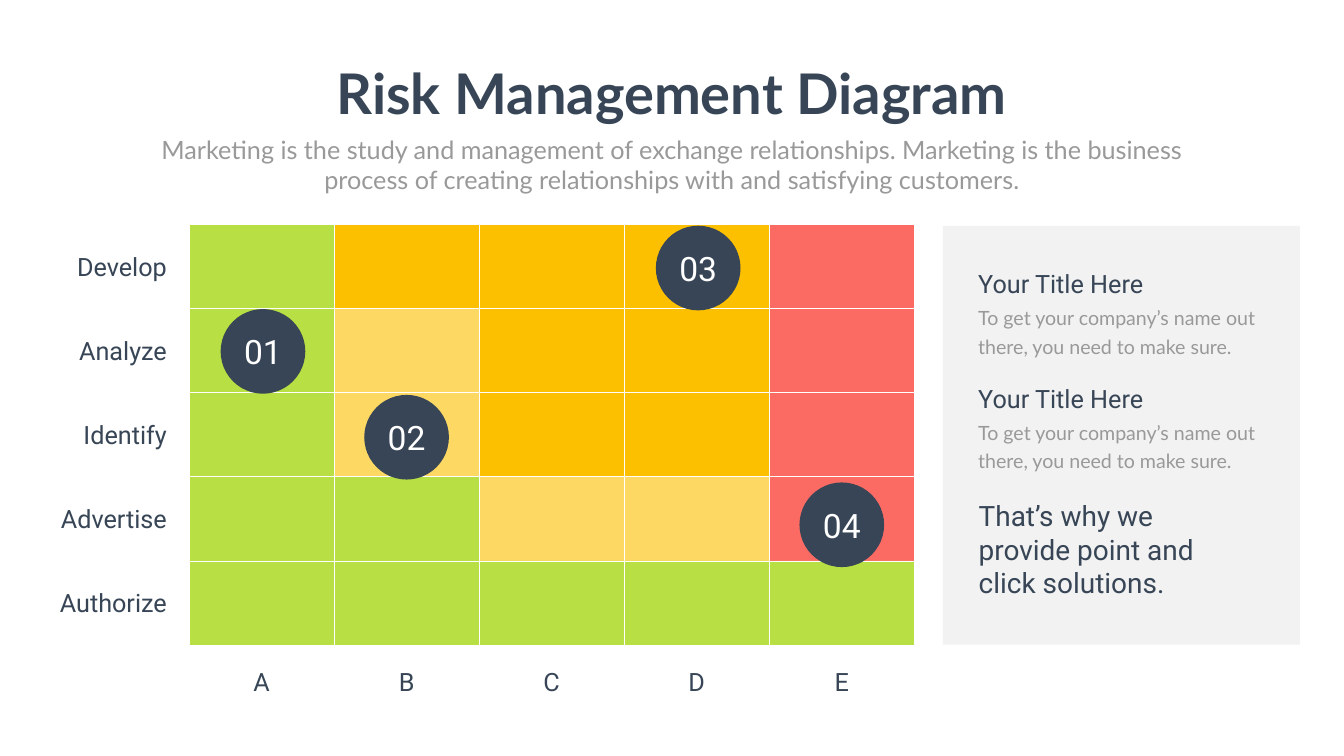
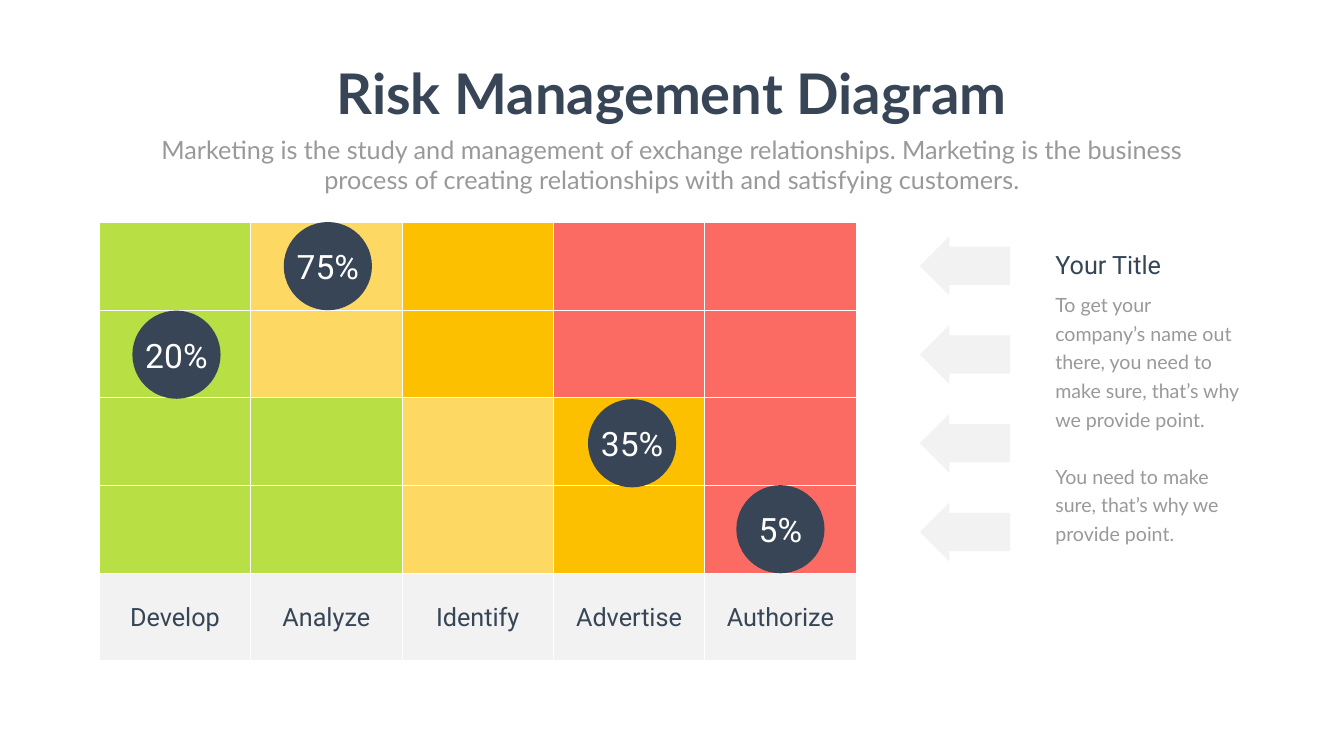
import dataclasses

import lxml.etree
import pptx
import pptx.dml.color
import pptx.enum.shapes
import pptx.enum.text
import pptx.oxml.ns
import pptx.util

SHAPE = pptx.enum.shapes.MSO_SHAPE
ALIGN = pptx.enum.text.PP_ALIGN
ANCHOR = pptx.enum.text.MSO_ANCHOR
FIT = pptx.enum.text.MSO_AUTO_SIZE

TITLE = "Risk Management Diagram"
SUBTITLE = (
    "Marketing is the study and management of exchange relationships. "
    "Marketing is the business process of creating relationships with "
    "and satisfying customers."
)
STAGES = ["Develop", "Analyze", "Identify", "Advertise", "Authorize"]


@dataclasses.dataclass(frozen=True)
class Theme:
    """Colours, text styles and page measures of the deck."""
    background: str = "FEFFFE"
    white: str = "FFFFFF"
    navy: str = "374556"
    veil: str = "808080"
    veil_alpha: int = 10
    risk: tuple = (("G", "B8DF43"), ("Y", "FDD964"), ("O", "FCC000"), ("R", "FB6B64"))
    title: tuple = ("Lato", 80, "374556", True)
    subtitle: tuple = ("Lato", 36, "999999", False)
    label: tuple = ("Roboto", 36, "374556", False)
    body: tuple = ("Lato", 28, "999999", False)
    closing: tuple = ("Roboto", 40, "374556", False)
    marker: tuple = ("Roboto", 48, "FFFFFF", False)
    leading: float = 40.8
    width: float = 26.66
    height: float = 15
    columns: int = 160
    rows: int = 90


@dataclasses.dataclass(frozen=True)
class Matrix:
    """Place of a risk matrix in page columns and rows."""
    left: float
    top: float
    col: float
    row: float

    def at(self, col, row):
        return self.left + col * self.col, self.top + row * self.row


class Deck:
    """Draws styled elements on the current slide, placed by page columns and rows."""

    def __init__(self, theme):
        self.theme = theme
        self.prs = pptx.Presentation()
        self.prs.slide_width = pptx.util.Inches(theme.width)
        self.prs.slide_height = pptx.util.Inches(theme.height)
        self.paint(self.prs.slide_master.background.fill, theme.background)
        self.slide = None

    def box(self, x, y, w, h):
        dx = self.prs.slide_width / self.theme.columns
        dy = self.prs.slide_height / self.theme.rows
        return [round(v) for v in (x * dx, y * dy, w * dx, h * dy)]

    def paint(self, fill, color):
        fill.solid()
        fill.fore_color.rgb = pptx.dml.color.RGBColor.from_string(color)

    def set_text(self, sp, texts, style, align=ALIGN.LEFT, anchor=ANCHOR.TOP,
                 wrap=True, fit=FIT.NONE, leading=None):
        name, size, color, bold = style
        tf = sp.text_frame
        tf.text = "\n".join(texts)
        tf.word_wrap = wrap
        tf.auto_size = fit
        tf.vertical_anchor = anchor
        for i, p in enumerate(tf.paragraphs):
            p.alignment = align
            p.space_before = pptx.util.Pt(leading if i and leading else 0)
            if leading:
                p.line_spacing = pptx.util.Pt(leading)
            for r in p.runs:
                r.font.name = name
                r.font.size = pptx.util.Pt(size)
                r.font.bold = bold
                r.font.color.rgb = pptx.dml.color.RGBColor.from_string(color)

    def new_slide(self):
        self.slide = self.prs.slides.add_slide(self.prs.slide_layouts[0])
        title, subtitle = self.slide.placeholders
        title.left, title.top, title.width, title.height = self.box(38.76, 6.72, 82.44, 8.7)
        subtitle.left, subtitle.top, subtitle.width, subtitle.height = self.box(
            17.52, 15.66, 124.92, 7.86)
        self.set_text(title, [TITLE], self.theme.title, ALIGN.CENTER, wrap=False)
        self.set_text(subtitle, [SUBTITLE], self.theme.subtitle, ALIGN.CENTER)

    def text(self, x, y, w, h, texts, style, align=ALIGN.LEFT, leading=None):
        sp = self.slide.shapes.add_textbox(*self.box(x, y, w, h))
        self.set_text(sp, texts, style, align, fit=FIT.SHAPE_TO_FIT_TEXT, leading=leading)

    def label(self, x, y, w, text, align=ALIGN.LEFT):
        self.text(x, y, w, 4.26, [text], self.theme.label, align)

    def body(self, x, y, w, h, *texts):
        self.text(x, y, w, h, texts, self.theme.body, leading=self.theme.leading)

    def shape(self, kind, x, y, w, h, color):
        sp = self.slide.shapes.add_shape(kind, *self.box(x, y, w, h))
        sp.shadow.inherit = False
        self.paint(sp.fill, color)
        sp.line.fill.background()
        return sp

    def veiled(self, kind, x, y, w, h):
        sp = self.shape(kind, x, y, w, h, self.theme.veil)
        clr = sp.element.spPr.find(".//" + pptx.oxml.ns.qn("a:srgbClr"))
        alpha = lxml.etree.SubElement(clr, pptx.oxml.ns.qn("a:alpha"))
        alpha.set("val", str(self.theme.veil_alpha * 1000))
        return sp

    def cell(self, matrix, col, row, color=None, text=None):
        place = (*matrix.at(col, row), matrix.col, matrix.row)
        if color:
            sp = self.shape(SHAPE.RECTANGLE, *place, color)
        else:
            sp = self.veiled(SHAPE.RECTANGLE, *place)
        self.paint(sp.line.fill, self.theme.white)
        sp.line.width = pptx.util.Pt(1)
        if text:
            self.set_text(sp, [text], self.theme.label, ALIGN.CENTER, ANCHOR.MIDDLE, wrap=False)

    def heat_map(self, matrix, levels):
        colors = dict(self.theme.risk)
        for row, line in enumerate(levels):
            for col, level in enumerate(line):
                self.cell(matrix, col, row, colors[level])

    def markers(self, matrix, size, marks):
        for text, col, row in marks:
            x, y = matrix.at(col, row)
            sp = self.shape(SHAPE.OVAL, x - size / 2, y - size / 2, size, size, self.theme.navy)
            self.set_text(sp, [text], self.theme.marker, ALIGN.CENTER, ANCHOR.MIDDLE, wrap=False)

    def arrow(self, x, y, w, h):
        sp = self.veiled(SHAPE.LEFT_ARROW, x, y, w, h)
        sp.adjustments[0], sp.adjustments[1] = 0.65, 0.5


def lettered_matrix(deck):
    deck.new_slide()
    matrix = Matrix(22.5, 26.7, 17.27, 10.02)
    deck.heat_map(matrix, ["GOOOR", "GYOOR", "GYOOR", "GGYYR", "GGGGG"])
    for i, (stage, letter) in enumerate(zip(STAGES, "ABCDE")):
        x, y = matrix.at(i, i)
        deck.label(5.22, y + (matrix.row - 4.26) / 2, 15.24, stage, ALIGN.RIGHT)
        deck.label(x + (matrix.col - 13.14) / 2, 79.02, 13.14, letter, ALIGN.CENTER)
    deck.markers(matrix, 10.08, [
        ("01", 0.51, 1.51), ("02", 1.5, 2.53), ("03", 3.51, 0.52), ("04", 4.5, 3.57)])

    deck.veiled(SHAPE.RECTANGLE, 112.26, 26.88, 42.48, 49.86)
    for i in range(2):
        y = 31.68 + i * 13.62
        deck.label(115.86, y, 34.32, "Your Title Here")
        deck.body(115.86, y + 3.9, 34.32, 6.54,
                  "To get your company’s name out there, you need to make sure.")
    deck.text(115.92, 59.04, 31.86, 12.72,
              ["That’s why we provide point and click solutions."], deck.theme.closing)


def percent_matrix(deck):
    deck.new_slide()
    matrix = Matrix(11.82, 26.46, 18.02, 10.44)
    levels = ["GYORR", "GYORR", "GGYOR", "GGYOR"]
    deck.heat_map(matrix, levels)
    for col, stage in enumerate(STAGES):
        deck.cell(matrix, col, len(levels), text=stage)
    deck.markers(matrix, 10.5, [
        ("20%", 0.51, 1.51), ("75%", 1.51, 0.5), ("35%", 3.52, 2.52), ("5%", 4.5, 3.5)])

    for i in range(len(levels)):
        deck.arrow(109.5, 28.14 + i * 10.56, 10.74, 7.02)
    deck.label(125.04, 29.34, 23.1, "Your Title")
    deck.body(125.04, 34.02, 23.1, 31.32,
              "To get your company’s name out there, you need to make sure, "
              "that’s why we provide point.",
              "You need to make sure, that’s why we provide point.")


def main():
    deck = Deck(Theme())
    lettered_matrix(deck)
    percent_matrix(deck)
    deck.prs.save("out.pptx")


if __name__ == "__main__":
    main()
